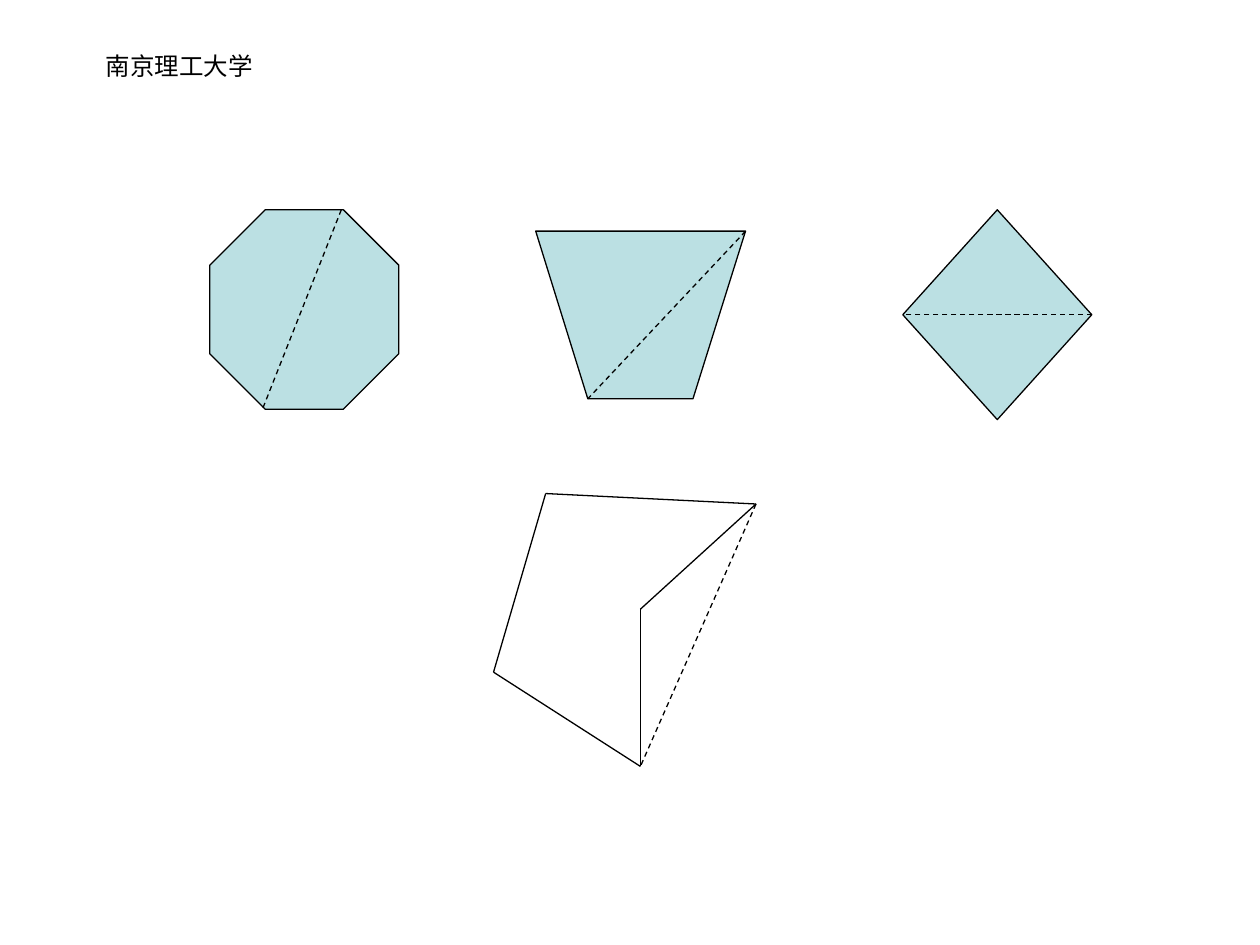
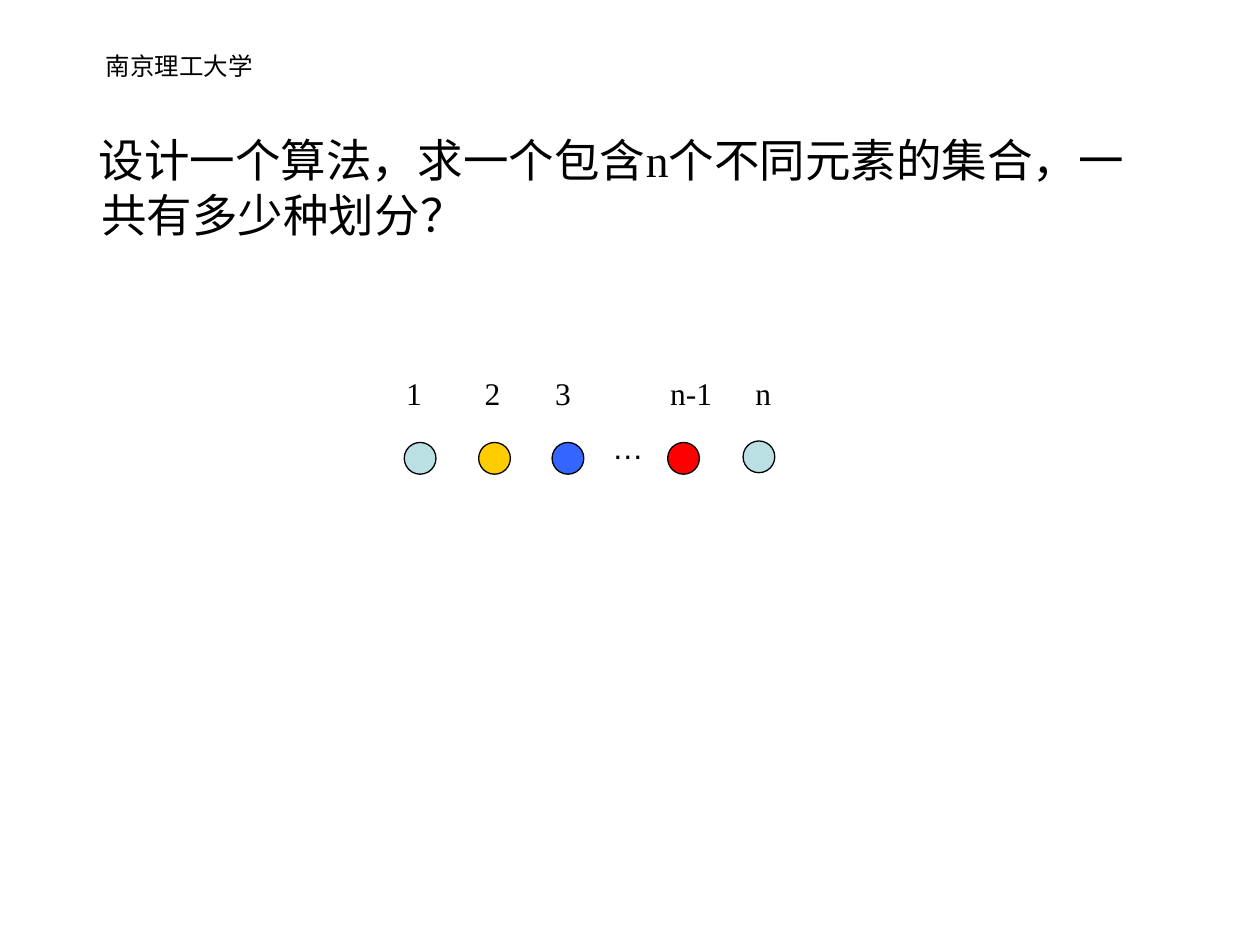
from pptx import Presentation
from pptx.dml.color import RGBColor
from pptx.enum import dml, shapes, text
from pptx.oxml.ns import qn
from pptx.util import Cm, Pt
from lxml import etree

COLORS = {"ink": "000000", "pale": "BBE0E3", "yellow": "FFCC00",
          "blue": "3366FF", "red": "FF0000"}
SANS, SERIF = "Arial", "Times New Roman"
TITLE_ONLY, BLANK = 5, 6


def rgb(name):
    return RGBColor.from_string(COLORS[name])


def write(sp, content, size, font=SERIF, align=text.PP_ALIGN.LEFT, wrap=True):
    tf = sp.text_frame
    tf.word_wrap = wrap
    tf.auto_size = (text.MSO_AUTO_SIZE.NONE if wrap
                    else text.MSO_AUTO_SIZE.SHAPE_TO_FIT_TEXT)
    tf.vertical_anchor = text.MSO_ANCHOR.TOP
    p = tf.paragraphs[0]
    p.alignment = align
    r = p.add_run()
    r.text = content
    r.font.size, r.font.name = Pt(size), font
    r.font.color.rgb = rgb("ink")
    return p


def add_text(slide, content, x, y, w, h, size, **fmt):
    sp = slide.shapes.add_textbox(Cm(x), Cm(y), Cm(w), Cm(h))
    return write(sp, content, size, **fmt)


def paint(sp, fill):
    sp.shadow.inherit = False
    sp.fill.solid()
    sp.fill.fore_color.rgb = rgb(fill)
    sp.line.color.rgb = rgb("ink")
    sp.line.width = Pt(0.75)
    return sp


def add_figure(slide, kind, x, y, w, h, fill="pale"):
    return paint(slide.shapes.add_shape(kind, Cm(x), Cm(y), Cm(w), Cm(h)), fill)


def add_polygon(slide, points, fill="pale"):
    corners = [(Cm(x), Cm(y)) for x, y in points]
    builder = slide.shapes.build_freeform(*corners[0], scale=1.0)
    builder.add_line_segments(corners[1:], close=True)
    return paint(builder.convert_to_shape(), fill)


def add_line(slide, start, end, dashed=False):
    line = slide.shapes.add_connector(
        shapes.MSO_CONNECTOR.STRAIGHT, *map(Cm, start + end))
    line.line.color.rgb = rgb("ink")
    line.line.width = Pt(0.75)
    if dashed:
        line.line.dash_style = dml.MSO_LINE.DASH
    etree.SubElement(line._element.spPr, qn("a:effectLst"))
    return line


def add_slide(prs, layout):
    """Add a slide that carries the university name."""
    slide = prs.slides.add_slide(prs.slide_layouts[layout])
    add_text(slide, "南京理工大学", -0.41, 0.91, 8.05, 1.32, 14,
             font=SANS, align=text.PP_ALIGN.CENTER)
    return slide


def polygon_slide(prs):
    slide = add_slide(prs, BLANK)
    add_figure(slide, shapes.MSO_SHAPE.OCTAGON,
               4.23, 4.23, 3.81, 4.02).adjustments[0] = 0.293
    trapezoid = [(10.8, 4.66), (11.85, 8.04), (13.97, 8.04), (15.03, 4.66)]
    add_polygon(slide, trapezoid)
    diamond = add_figure(slide, shapes.MSO_SHAPE.DIAMOND, 18.2, 4.23, 3.81, 4.23)

    concave = [(11, 9.95), (9.95, 13.55), (12.91, 15.45), (12.91, 12.28),
               (15.24, 10.16)]
    for start, end in zip(concave, concave[1:] + concave[:1]):
        add_line(slide, start, end)

    diagonals = [(concave[4], concave[2]), ((6.88, 4.23), (5.29, 8.25)),
                 (trapezoid[3], trapezoid[1])]
    for start, end in diagonals:
        add_line(slide, start, end, dashed=True)
    across = add_line(slide, (22.01, 6.35), (18.2, 6.35), dashed=True)
    across.begin_connect(diamond, 3)
    across.end_connect(diamond, 1)


def partition_slide(prs):
    slide = add_slide(prs, TITLE_ONLY)
    title = slide.shapes.title
    title.left, title.top, title.width, title.height = map(
        Cm, (0.84, 2.54, 22.86, 2.74))
    p = write(title, "设计一个算法，求一个包含n个不同元素的集合，一共有多少种划分？", 26)
    pPr = p._p.get_or_add_pPr()
    pPr.set("marL", str(Cm(0.95)))
    pPr.set("indent", str(Cm(-0.05)))

    # label, label left, label width, ball left, ball top, ball colour
    elements = [("1", 7.94, 0.82, 8.15, 8.92, "pale"),
                ("2", 9.52, 0.82, 9.65, 8.92, "yellow"),
                ("3", 10.94, 0.82, 11.13, 8.92, "blue"),
                ("n-1", 13.26, 1.35, 13.46, 8.92, "red"),
                ("n", 14.98, 0.82, 14.98, 8.89, "pale")]
    for label, label_x, label_w, ball_x, ball_y, color in elements:
        add_figure(slide, shapes.MSO_SHAPE.OVAL, ball_x, ball_y, 0.64, 0.64, color)
        add_text(slide, label, label_x, 7.42, label_w, 1.02, 18, wrap=False)
    add_text(slide, "…", 12.09, 8.5, 1.14, 1.02, 18, font=SANS, wrap=False)


def main():
    prs = Presentation()
    prs.slide_width, prs.slide_height = Cm(25.4), Cm(19.05)
    polygon_slide(prs)
    partition_slide(prs)
    prs.save("out.pptx")


if __name__ == "__main__":
    main()
